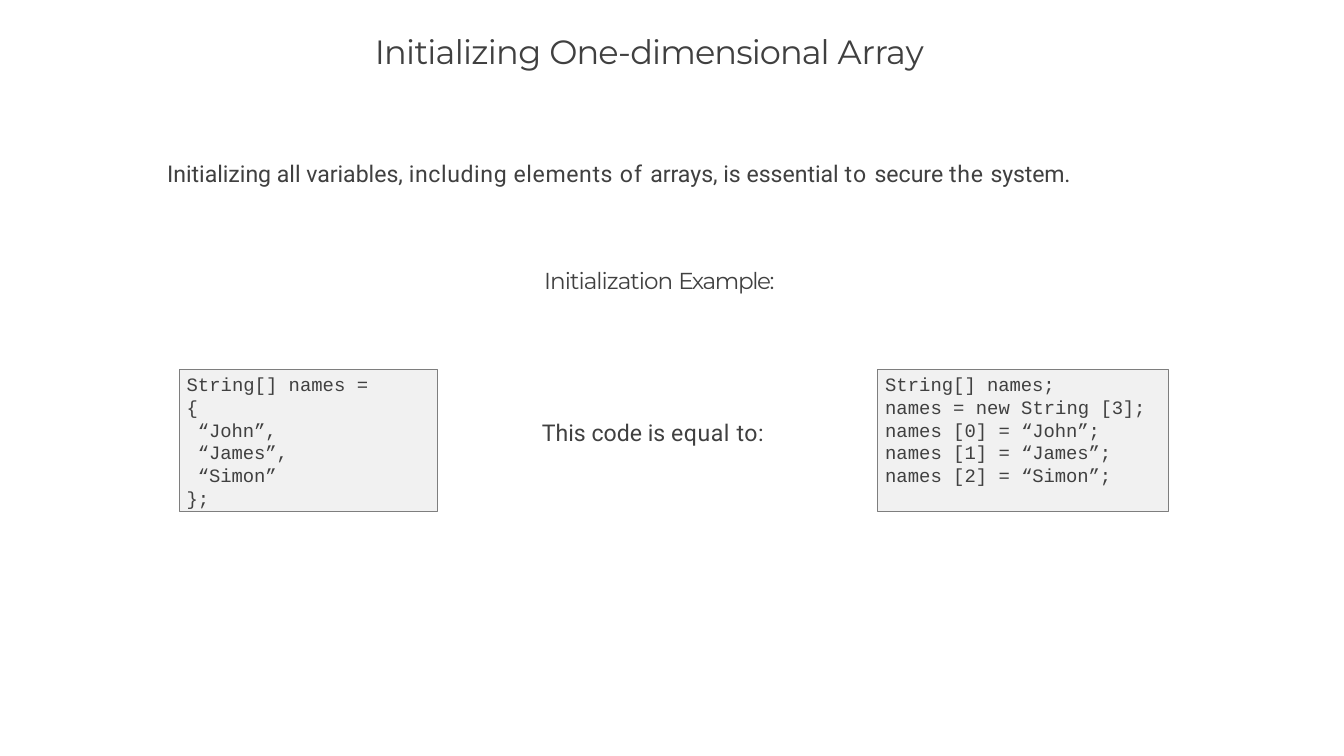
from pptx import Presentation
from pptx.dml.color import RGBColor
from pptx.enum.shapes import MSO_SHAPE
from pptx.enum.text import MSO_ANCHOR, MSO_AUTO_SIZE, PP_ALIGN
from pptx.util import Pt

RECT = MSO_SHAPE.RECTANGLE
TOP = MSO_ANCHOR.TOP
LEFT = PP_ALIGN.LEFT
FIXED = MSO_AUTO_SIZE.NONE
INK = "404040"


def color(code):
    return RGBColor.from_string(code)


def write(shape, box, lines, font, size, inset):
    """Place a shape and fill it; a line is (indent, [(text, spacing), ...])."""
    shape.left, shape.top, shape.width, shape.height = map(Pt, box)
    frame = shape.text_frame
    frame.word_wrap = True
    frame.auto_size = FIXED
    frame.vertical_anchor = TOP
    frame.margin_left = frame.margin_right = frame.margin_bottom = 0
    frame.margin_top = Pt(inset)
    for n, (indent, runs) in enumerate(lines):
        para = frame.add_paragraph() if n else frame.paragraphs[0]
        para.alignment = LEFT
        para._p.get_or_add_pPr().set("marL", str(Pt(indent)))
        for text, gap in runs:
            run = para.add_run()
            run.text = text
            run.font.name = font
            run.font.size = Pt(size)
            run.font.color.rgb = color(INK)
            run._r.get_or_add_rPr().set("spc", str(round(gap * 100)))


deck = Presentation()
deck.slide_width, deck.slide_height = Pt(1280.16), Pt(720)
slide = deck.slides.add_slide(deck.slide_layouts[5])
shapes = slide.shapes

# Title
title = [("Initializing ", -0.7), ("One-dimensional ", -0.9), ("Array", -0.2)]
write(shapes.title, (124.5, 27.4, 1031, 40.3), [(232.5, title)],
      "Montserrat", 32, 1.8)

# Statement, heading and middle label
notes = [
    ((158.4, 150.5, 882, 28), "Roboto",
     [("Initializing all variables, ", 0), ("including elements ", 0.6),
      ("of ", 1.1), ("arrays, is essential ", 0), ("to ", 1.2),
      ("secure ", 0), ("the ", 0.8), ("system.", -0.1)]),
    ((517.7, 252, 247.7, 28), "Montserrat",
     [("Initialization ", -0.9), ("Example:", -1.3)]),
    ((515.5, 396.7, 216.7, 28), "Roboto",
     [("This code is ", 0), ("equal ", 0.6), ("to:", 0.5)]),
]
for box, font, runs in notes:
    write(shapes.add_textbox(0, 0, 0, 0), box, [(0.7, runs)], font, 22, 1.6)

# Code boxes: array literal on the left, single assignments on the right
people = ["John", "James", "Simon"]
short = [(7.2, [("String[] names ", 0), ("=", -0.5)]), (7.2, [("{", 0)])]
short += [(18, [(f"“{name}”" + ("," if name != people[-1] else ""), -0.1)])
          for name in people]
short += [(7.2, [("};", -0.2)])]

long = [(7.2, [("String[] ", 0), ("names;", -0.1)]),
        (7.2, [("names = new String ", 0), ("[3];", -0.2)])]
long += [(7.2, [(f"names [{n}] = ", 0), (f"“{name}”;", -0.1)])
         for n, name in enumerate(people)]

for left, width, lines in [(170.6, 246.2, short), (835.9, 277.2, long)]:
    panel = shapes.add_shape(RECT, 0, 0, 0, 0)
    panel.shadow.inherit = False
    panel.fill.solid()
    panel.fill.fore_color.rgb = color("F1F1F1")
    panel.line.color.rgb = color("7E7E7E")
    panel.line.width = Pt(0.72)
    write(panel, (left, 352.1, width, 134.6), lines, "Courier New", 18, 3)

deck.save("out.pptx")
